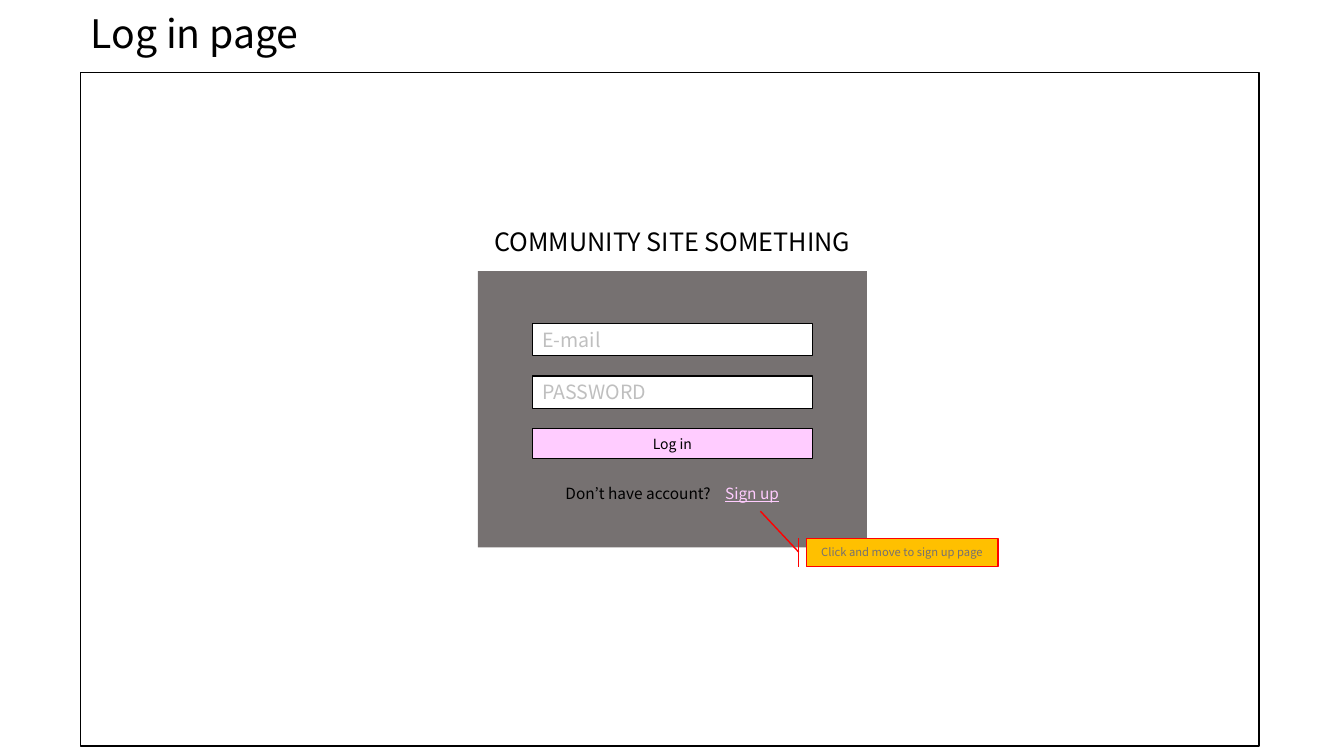
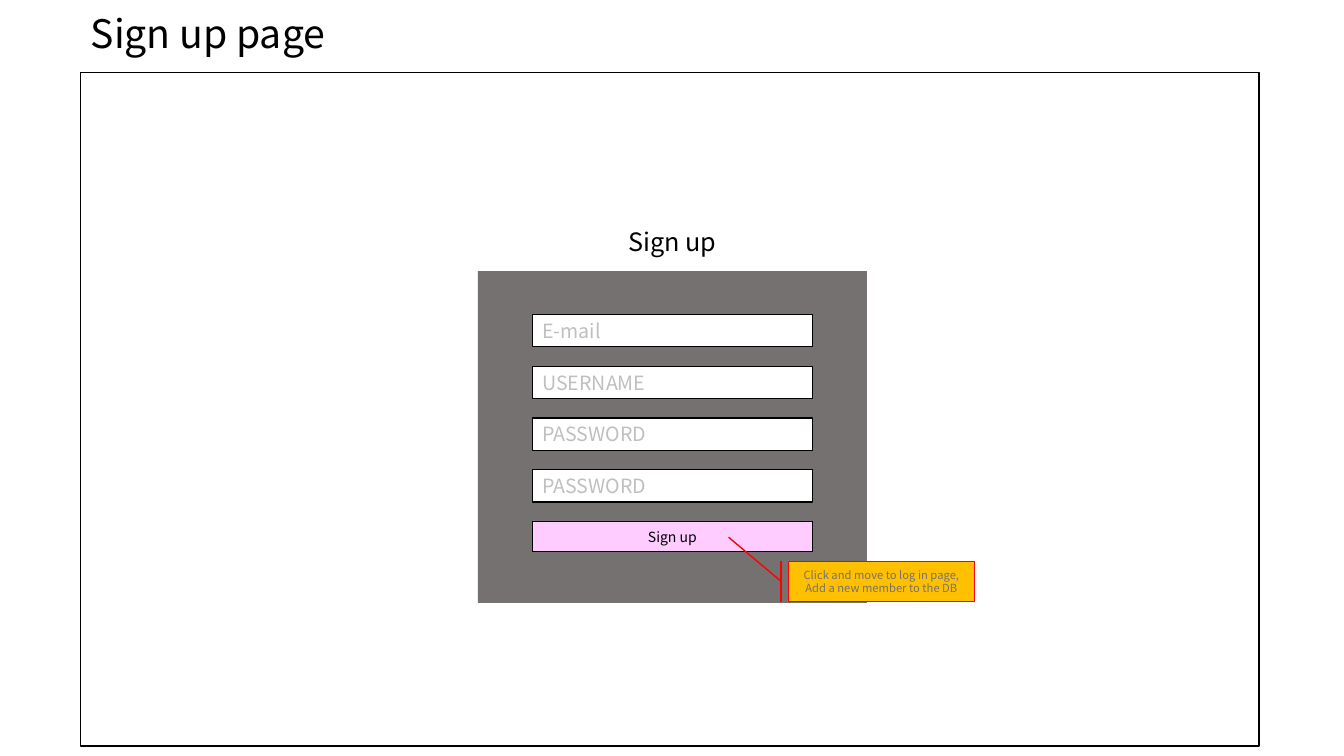
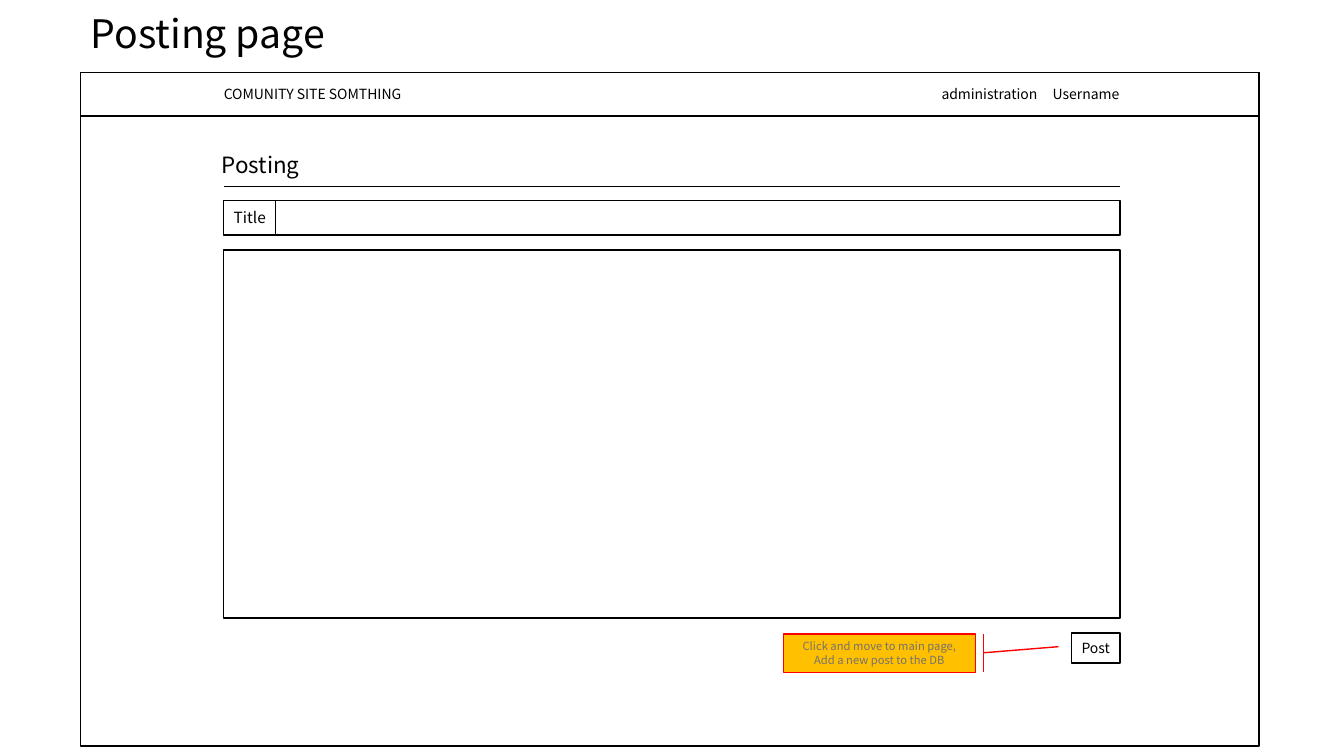
from lxml import etree
from pptx import Presentation
from pptx import util as u
from pptx.dml.color import RGBColor
from pptx.enum import shapes, text
from pptx.oxml import ns

BLACK = RGBColor(0x00, 0x00, 0x00)
WHITE = RGBColor(0xFF, 0xFF, 0xFF)
GRAY = RGBColor(0x76, 0x71, 0x71)
HINT = RGBColor(0xBF, 0xBF, 0xBF)
PINK = RGBColor(0xFF, 0xCC, 0xFF)
AMBER = RGBColor(0xFF, 0xC0, 0x00)
RED = RGBColor(0xFF, 0x00, 0x00)

LEFT, CENTER = text.PP_ALIGN.LEFT, text.PP_ALIGN.CENTER
TOP, MIDDLE = text.MSO_ANCHOR.TOP, text.MSO_ANCHOR.MIDDLE
RECTANGLE = shapes.MSO_SHAPE.RECTANGLE
CALLOUT = shapes.MSO_SHAPE.LINE_CALLOUT_1_BORDER_AND_ACCENT_BAR


class Wireframe:
    """Draws page mock-ups on a grid of 80 columns by 45 rows."""

    font = "Noto Sans CJK KR"
    cell = u.Inches(1 / 6)
    frame = (4.8, 4.32, 70.14, 40.08)
    panel_left, panel_top, panel_width = 28.44, 16.14, 23.16
    field_left, field_width, field_height = 31.68, 16.68, 1.92
    button_height = 1.8

    def __init__(self):
        self.presentation = Presentation()
        self.presentation.slide_width = u.Inches(13.333)
        self.presentation.slide_height = u.Inches(7.5)
        self.slide = None

    def grid(self, *lengths):
        return [round(length * self.cell) for length in lengths]

    def page(self, title):
        layout = self.presentation.slide_layouts.get_by_name("Title Only")
        self.slide = self.presentation.slides.add_slide(layout)
        shape = self.slide.shapes.title
        shape.left, shape.top, shape.width, shape.height = self.grid(4.8, 0.48, 69, 3.36)
        self.set_text(shape, [title], 28, anchor=MIDDLE)
        shape.text_frame.auto_size = text.MSO_AUTO_SIZE.NONE
        shape.text_frame.paragraphs[0].line_spacing = 0.9
        self.box(*self.frame)

    def set_text(self, shape, lines, size, color=BLACK, align=LEFT, anchor=TOP, tabs=()):
        frame = shape.text_frame
        frame.word_wrap = True
        frame.vertical_anchor = anchor
        frame.text = "\n".join(lines)
        for paragraph in frame.paragraphs:
            paragraph.alignment = align
            if tabs:
                properties = paragraph._p.get_or_add_pPr()
                stops = etree.SubElement(properties, ns.qn("a:tabLst"))
                for position in self.grid(*tabs):
                    etree.SubElement(stops, ns.qn("a:tab"), pos=str(position), algn="l")
            paragraph.font.name = self.font
            paragraph.font.size = u.Pt(size)
            paragraph.font.color.rgb = color

    def box(self, left, top, width, height, fill=None, line=BLACK, kind=RECTANGLE):
        shape = self.slide.shapes.add_shape(kind, *self.grid(left, top, width, height))
        shape.shadow.inherit = False
        if fill is None:
            shape.fill.background()
        else:
            shape.fill.solid()
            shape.fill.fore_color.rgb = fill
        if line is None:
            shape.line.fill.background()
        else:
            shape.line.color.rgb = line
            shape.line.width = u.Pt(1)
        return shape

    def label(self, left, top, width, height, words, size, **style):
        shape = self.slide.shapes.add_textbox(*self.grid(left, top, width, height))
        self.set_text(shape, [words], size, **style)
        shape.text_frame.auto_size = text.MSO_AUTO_SIZE.SHAPE_TO_FIT_TEXT
        return shape

    def rule(self, *ends):
        straight = shapes.MSO_CONNECTOR.STRAIGHT
        line = self.slide.shapes.add_connector(straight, *self.grid(*ends))
        line.line.color.rgb = BLACK
        line.line.width = u.Pt(0.5)
        etree.SubElement(line._element.spPr, ns.qn("a:effectLst"))

    def button(self, left, top, width, words, fill):
        shape = self.box(left, top, width, self.button_height, fill)
        self.set_text(shape, [words], 10, align=CENTER, anchor=MIDDLE)
        shape.text_frame.margin_left = shape.text_frame.margin_right = 0

    def form(self, heading, height, first, pitch, hints, action):
        self.box(self.panel_left, self.panel_top, self.panel_width, height, GRAY, None)
        self.label(self.panel_left, 13.2, self.panel_width, 2.4, heading, 18, align=CENTER)
        for row, hint in enumerate(hints):
            field = self.box(self.field_left, first + row * pitch,
                             self.field_width, self.field_height, WHITE)
            self.set_text(field, [hint], 14, HINT, anchor=MIDDLE)
        self.button(self.field_left, first + len(hints) * pitch,
                    self.field_width, action, PINK)

    def callout(self, left, top, width, height, lines, bar, tip):
        shape = self.box(left, top, width, height, AMBER, RED, CALLOUT)
        for index, value in enumerate((0.49, bar, *tip)):
            shape.adjustments[index] = value
        self.set_text(shape, lines, 8, GRAY, CENTER, MIDDLE)


def log_in(deck):
    deck.page("Log in page")
    deck.form("COMMUNITY SITE SOMETHING", 16.44, 19.26, 3.12,
              ["E-mail", "PASSWORD"], "Log in")
    prompt = deck.label(deck.field_left, 28.5, deck.field_width, 1.74,
                        "Don’t have account?\t", 11, tabs=[9.5])
    prompt.text_frame.margin_left, = deck.grid(1.98)
    link = prompt.text_frame.paragraphs[0].add_run()
    link.text = "Sign up"
    link.font.underline = True
    link.font.color.rgb = PINK
    deck.callout(48, 32.04, 11.4, 1.68, ["Click and move to sign up page"],
                 -0.04, (-0.96, -0.24))


def sign_up(deck):
    deck.page("Sign up page")
    deck.form("Sign up", 19.74, 18.72, 3.08,
              ["E-mail", "USERNAME", "PASSWORD", "PASSWORD"], "Sign up")
    deck.callout(46.92, 33.42, 11.1, 2.4,
                 ["Click and move to log in page,", "Add a new member to the DB"],
                 -0.04, (-0.6, -0.32))


def posting(deck):
    left, width = 13.32, 53.34
    right = left + width
    deck.page("Posting page")
    header = deck.box(*deck.frame[:3], 2.58)
    deck.set_text(header, ["COMUNITY SITE SOMTHING\tadministration\tUsername"], 10,
                  anchor=MIDDLE, tabs=[42.72, 49.34])
    header.text_frame.margin_left, = deck.grid(left - deck.frame[0])
    deck.label(12.6, 8.7, 13.08, 2.22, "Posting", 16)
    deck.rule(left, 11.1, right, 11.1)
    title_box = deck.box(left, 11.94, width, 2.04)
    deck.set_text(title_box, ["Title"], 11, anchor=MIDDLE)
    deck.rule(16.38, 11.94, 16.38, 13.98)
    deck.box(left, 14.88, width, 21.9)
    deck.button(right - 2.88, 37.68, 2.88, "Post", WHITE)
    deck.callout(46.62, 37.74, 11.46, 2.28,
                 ["Click and move to main page,", "Add a new post to the DB"],
                 1.04, (0.33, 1.43))


wireframe = Wireframe()
for draw in (log_in, sign_up, posting):
    draw(wireframe)
wireframe.presentation.save("out.pptx")
